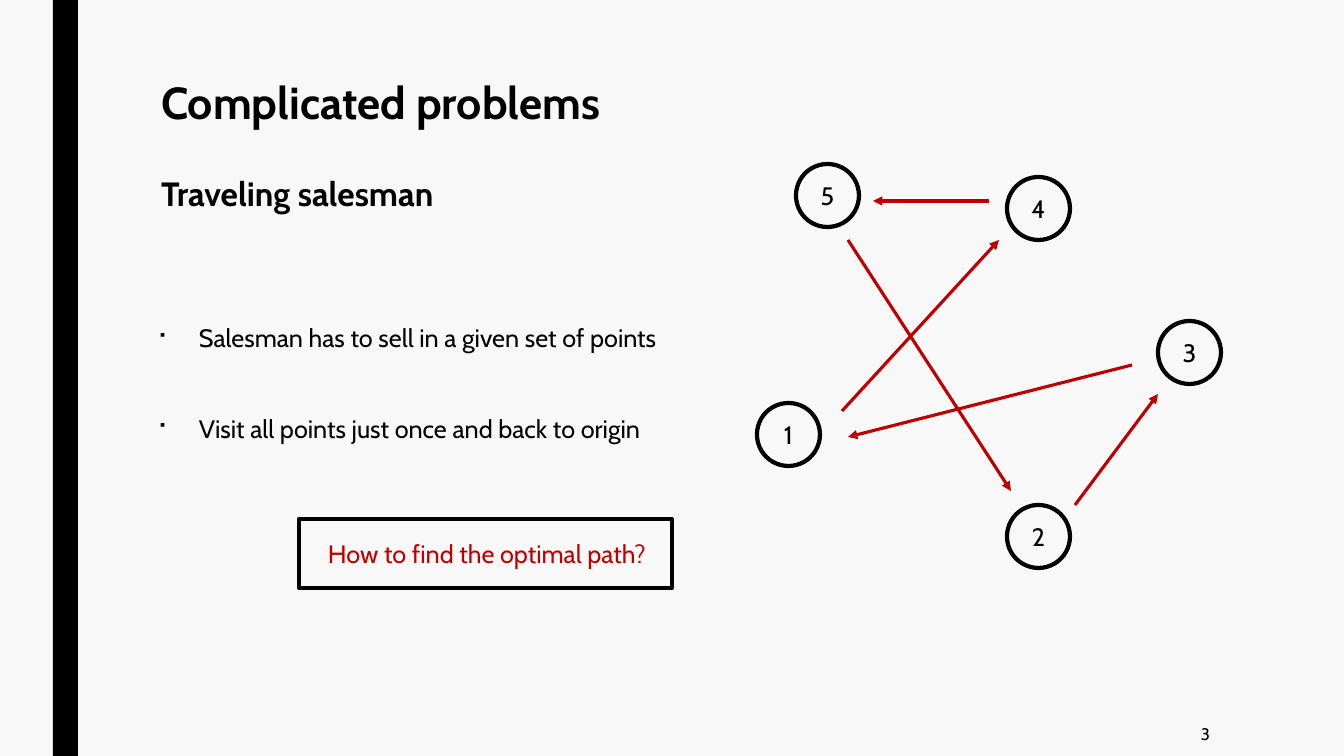
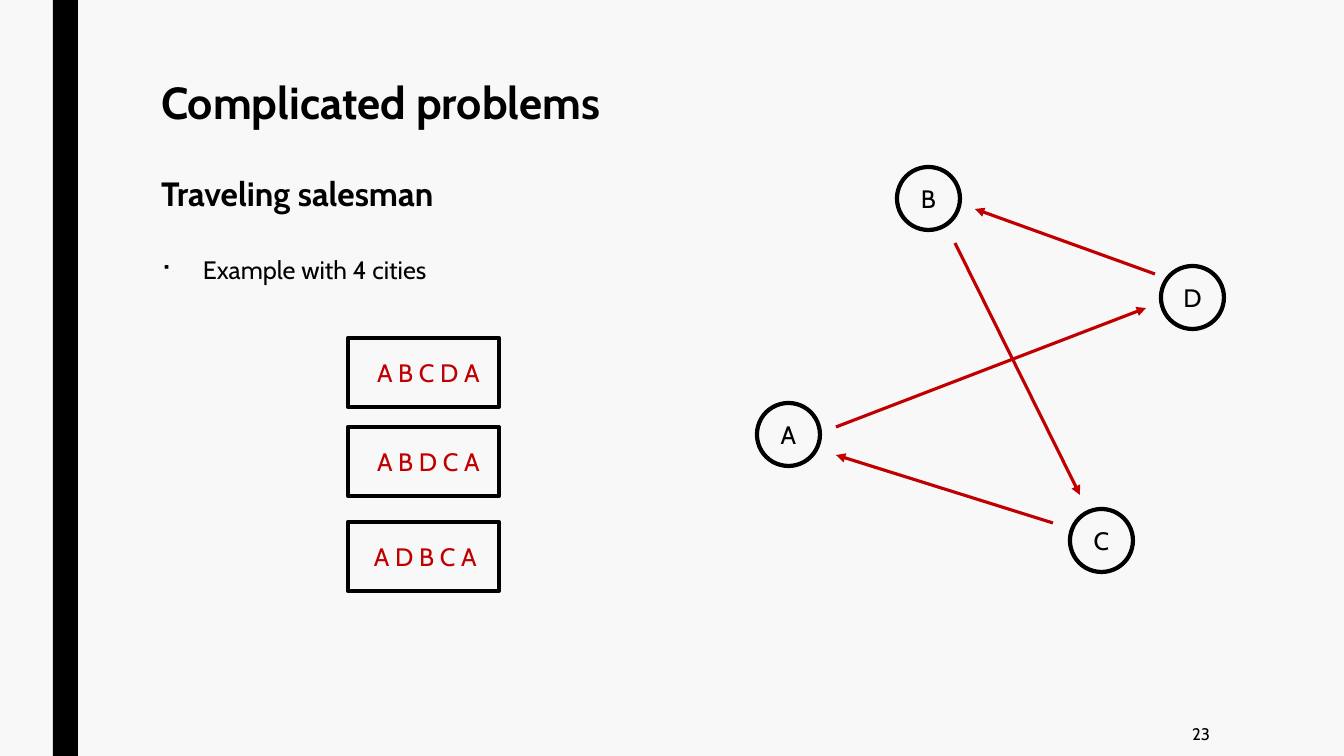
from pptx import Presentation
from pptx.dml.color import RGBColor
from pptx.enum.shapes import MSO_CONNECTOR as CONN, MSO_SHAPE as SHAPE
from pptx.enum.text import MSO_ANCHOR as ANCHOR, MSO_AUTO_SIZE as FIT, PP_ALIGN as ALIGN
from pptx.oxml.ns import qn
from pptx.util import Emu, Pt
from lxml import etree

# Shared look
WIDE, HIGH = 1344, 756
SCALE = 12192000 / WIDE
BLACK, RED, PAPER = "000000", "C00000", "F8F8F8"
HEAD = dict(size=Pt(32), bold=True)
SUB = dict(size=Pt(24), bold=True)
BODY = dict(size=Pt(18))
FOOT = dict(size=Pt(12))
TITLE = [("Complicated problems", HEAD, 0), ("Traveling salesman", SUB, 35)]
NODE, BOX = 63, 69

# Content: nodes are (label, left, top), arrows (x1, y1, x2, y2),
# boxes (text, left, top, width, inset)
SLIDES = [
    dict(
        number="3",
        points=["Salesman has to sell in a given set of points",
                "Visit all points just once and back to origin"],
        place=(147, 320, 552, 265),
        nodes=[("1", 757, 403), ("2", 1007, 505), ("3", 1158, 321),
               ("4", 1007, 177), ("5", 796, 164)],
        arrows=[(842, 411, 999, 240), (848, 240, 1011, 491), (989, 201, 873, 201),
                (1075, 505, 1158, 394), (1132, 365, 848, 437)],
        boxes=[("How to find the optimal path?", 299, 519, 373, 29)],
    ),
    dict(
        number="23",
        points=["Example with 4 cities"],
        place=(151, 252, 481, 382),
        nodes=[("A", 757, 403), ("B", 897, 167), ("C", 1070, 509), ("D", 1161, 266)],
        arrows=[(836, 427, 1146, 308), (1053, 523, 836, 455),
                (955, 243, 1080, 495), (1155, 274, 975, 209)],
        boxes=[("A B C D A", 348, 338, 151, 29),
               ("A B D C A", 348, 427, 151, 29),
               ("A D B C A", 348, 522, 151, 26)],
    ),
]


def px(n):
    return Emu(round(n * SCALE))


def rgb(code):
    return RGBColor.from_string(code)


def style(font, color=BLACK, **form):
    font.color.rgb = rgb(color)
    for key, val in dict(name="Cabin", **form).items():
        setattr(font, key, val)


def write(para, text, color=BLACK, **form):
    run = para.add_run()
    run.text = text
    style(run.font, color, **form)


def bullet(para):
    props = para._p.get_or_add_pPr()
    props.set("marL", str(px(42)))
    props.set("indent", str(-px(42)))
    etree.SubElement(props, qn("a:buFont")).set("typeface", "Wingdings")
    etree.SubElement(props, qn("a:buChar")).set("char", "■")


def head(slide):
    title = slide.shapes.title
    spots = dict(left=151, top=76, width=1058, height=163)
    for key, val in spots.items():
        setattr(title, key, px(val))
    frame = title.text_frame
    frame.auto_size, frame.vertical_anchor = FIT.NONE, ANCHOR.TOP
    for i, (text, form, gap) in enumerate(TITLE):
        para = frame.add_paragraph() if i else frame.paragraphs[0]
        para.alignment, para.line_spacing = ALIGN.LEFT, 0.89
        para.space_before = Pt(gap)
        write(para, text, **form)


def area(slide, place):
    frame = slide.shapes.add_textbox(*map(px, place)).text_frame
    frame.word_wrap = True
    return frame


def points(slide, texts, place):
    frame = area(slide, place)
    for i, text in enumerate(texts):
        para = frame.add_paragraph() if i else frame.paragraphs[0]
        para.line_spacing = 0.94
        para.space_before = Pt(44.5 if i else 0)
        bullet(para)
        write(para, text, **BODY)


def foot(slide, number):
    frame = area(slide, (1044, 712, 176, 44))
    frame.vertical_anchor = ANCHOR.MIDDLE
    para = frame.paragraphs[0]
    para.alignment = ALIGN.RIGHT
    write(para, number, **FOOT)


def shape(slide, kind, *place):
    item = slide.shapes.add_shape(kind, *map(px, place))
    item.shadow.inherit = False
    return item


def band(slide):
    bar = shape(slide, SHAPE.RECTANGLE, 53, 0, 25, HIGH)
    bar.fill.solid()
    bar.fill.fore_color.rgb = rgb(BLACK)
    bar.line.fill.background()


def ring(slide, kind, place, text, color, align, inset=0):
    """Outlined shape with one line of text."""
    item = shape(slide, kind, *place)
    item.fill.background()
    item.line.color.rgb, item.line.width = rgb(BLACK), Pt(3)
    frame = item.text_frame
    form = dict(margin_left=px(inset), margin_right=0, margin_top=0, margin_bottom=0,
                vertical_anchor=ANCHOR.MIDDLE, word_wrap=True)
    for key, val in form.items():
        setattr(frame, key, val)
    para = frame.paragraphs[0]
    para.alignment = align
    write(para, text, color, **BODY)


def arrow(slide, ends):
    link = slide.shapes.add_connector(CONN.STRAIGHT, *map(px, ends))
    link.line.color.rgb, link.line.width = rgb(RED), Pt(2.25)
    tip = etree.SubElement(link.line._get_or_add_ln(), qn("a:tailEnd"))
    tip.set("type", "triangle")
    etree.SubElement(link._element.spPr, qn("a:effectLst"))


def main():
    prs = Presentation()
    prs.slide_width, prs.slide_height = px(WIDE), px(HIGH)
    back = prs.slide_master.background.fill
    back.solid()
    back.fore_color.rgb = rgb(PAPER)
    for data in SLIDES:
        slide = prs.slides.add_slide(prs.slide_layouts[5])
        band(slide)
        head(slide)
        points(slide, data["points"], data["place"])
        foot(slide, data["number"])
        # Route map
        for label, x, y in data["nodes"]:
            ring(slide, SHAPE.OVAL, (x, y, NODE, NODE), label, BLACK, ALIGN.CENTER)
        for ends in data["arrows"]:
            arrow(slide, ends)
        # Boxed text
        for text, x, y, wide, inset in data["boxes"]:
            ring(slide, SHAPE.RECTANGLE, (x, y, wide, BOX), text, RED, ALIGN.LEFT, inset)
    prs.save("out.pptx")


if __name__ == "__main__":
    main()
